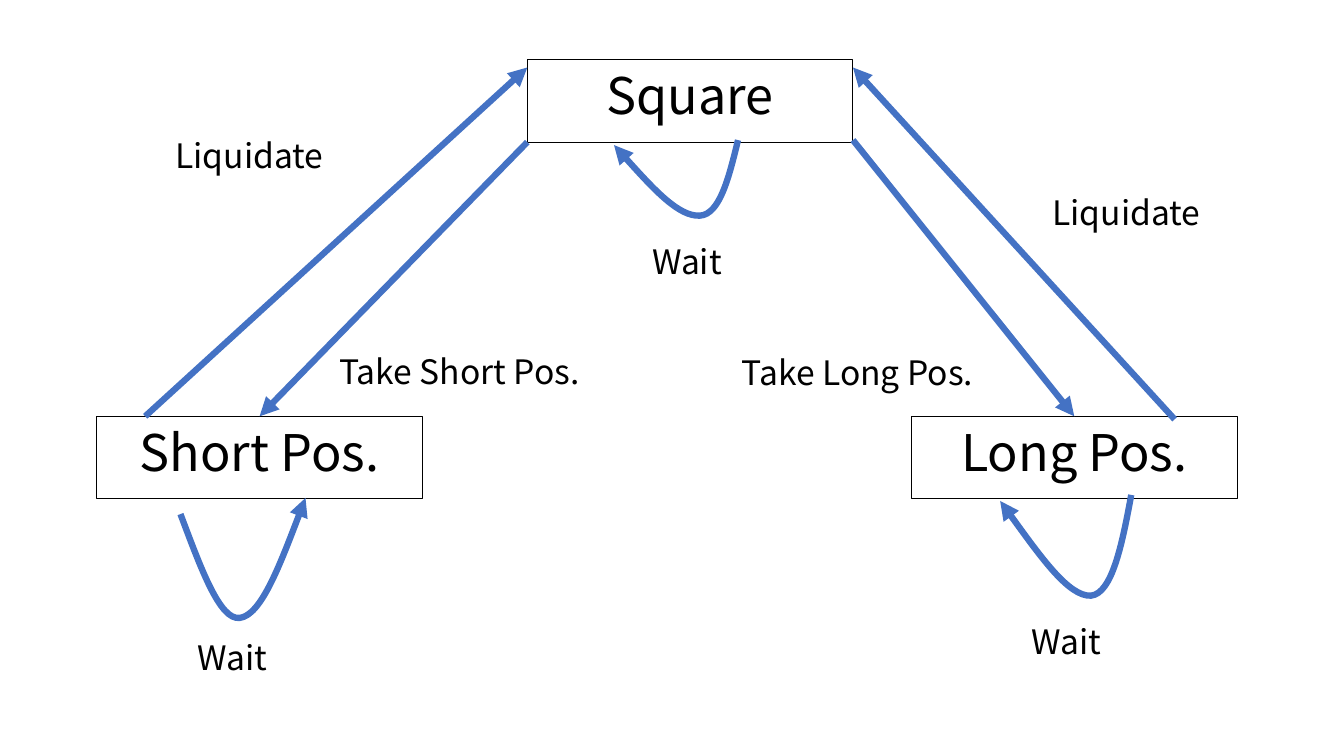
from dataclasses import dataclass
from typing import Optional

from lxml import etree
from pptx import Presentation
from pptx import util as u
from pptx.dml.color import RGBColor
from pptx.enum import shapes, text
from pptx.oxml import ns

COLORS = {"ink": "000000", "arrow": "4472C4"}
FONT = "Noto Sans CJK JP"
STATE_WIDTH, STATE_HEIGHT = 3.23, 0.82
TOP_MIDDLE = 0
Point = tuple[float, float]


@dataclass
class State:
    name: str
    left: float
    top: float


@dataclass
class Label:
    words: str
    left: float
    top: float
    width: float
    height: float = 0.58


@dataclass
class Move:
    start: Point
    end: Point
    target: Optional[str] = None  # state whose top middle the arrow joins


@dataclass
class WaitLoop:
    start: Point
    curves: list[tuple[Point, Point, Point]]  # two controls and an end


STATES = [
    State("Square", 5.23, 0.59),
    State("Long Pos.", 9.04, 4.13),
    State("Short Pos.", 0.96, 4.13),
]
LOOPS = [
    WaitLoop((7.32, 1.39), [((7.23, 1.76), (7.14, 2.13), (6.94, 2.14)),
                            ((6.73, 2.15), (6.41, 1.8), (6.09, 1.44))]),
    WaitLoop((1.79, 5.1), [((1.99, 5.63), (2.18, 6.16), (2.38, 6.13)),
                           ((2.59, 6.1), (2.81, 5.52), (3.03, 4.94))]),
    WaitLoop((11.22, 4.91), [((11.13, 5.4), (11.03, 5.89), (10.82, 5.91)),
                             ((10.6, 5.92), (10.26, 5.44), (9.92, 4.97))]),
]
MOVES = [
    Move((1.44, 4.13), (5.23, 0.67)),
    Move((8.46, 1.39), (10.65, 4.13), "Long Pos."),
    Move((5.23, 1.41), (2.58, 4.13), "Short Pos."),
    Move((11.65, 4.16), (8.46, 0.67)),
]
LABELS = [
    Label("Wait", 6.37, 2.34, 1.36, 0.5),
    Label("Wait", 1.86, 6.27, 1.43, 0.5),
    Label("Wait", 10.13, 6.11, 1.43, 0.5),
    Label("Liquidate", 1.64, 1.29, 1.98),
    Label("Liquidate", 10.34, 1.85, 2.39),
    Label("Take Short Pos.", 3.27, 3.43, 3.1),
    Label("Take Long Pos.", 7.26, 3.44, 3.05),
]


def inches(*lengths: float) -> list[u.Length]:
    return [u.Inches(length) for length in lengths]


def write(box, words: str, size: int, align) -> None:
    frame = box.text_frame
    frame.word_wrap = True
    frame.vertical_anchor = text.MSO_ANCHOR.TOP
    frame.auto_size = text.MSO_AUTO_SIZE.SHAPE_TO_FIT_TEXT
    para = frame.paragraphs[0]
    para.alignment = align
    span = para.add_run()
    span.text = words
    span.font.name = FONT
    span.font.size = u.Pt(size)
    span.font.color.rgb = RGBColor.from_string(COLORS["ink"])


def style_arrow(shape) -> None:
    shape.line.color.rgb = RGBColor.from_string(COLORS["arrow"])
    shape.line.width = u.Pt(4.5)
    outline = shape._element.spPr.find(ns.qn("a:ln"))
    etree.SubElement(outline, ns.qn("a:tailEnd"), type="triangle")


def draw_state(page, state: State):
    box = page.shapes.add_shape(
        shapes.MSO_SHAPE.RECTANGLE,
        *inches(state.left, state.top, STATE_WIDTH, STATE_HEIGHT))
    box.shadow.inherit = False
    box.fill.background()
    box.line.color.rgb = RGBColor.from_string(COLORS["ink"])
    box.line.width = u.Pt(0.75)
    write(box, state.name, 36, text.PP_ALIGN.CENTER)
    return box


def draw_loop(page, loop: WaitLoop) -> None:
    builder = page.shapes.build_freeform(*inches(*loop.start))
    points = [inches(*point) for curve in loop.curves for point in curve]
    builder.add_line_segments(points, close=False)
    shape = builder.convert_to_shape()
    # Each three straight segments become one cubic curve
    segments = list(shape._element.iter(ns.qn("a:lnTo")))
    for first in range(0, len(segments), 3):
        curve = etree.Element(ns.qn("a:cubicBezTo"))
        segments[first].addprevious(curve)
        for segment in segments[first:first + 3]:
            curve.append(segment[0])
            segment.getparent().remove(segment)
    shape.shadow.inherit = False
    shape.fill.background()
    style_arrow(shape)


def draw_move(page, move: Move, boxes: dict) -> None:
    arrow = page.shapes.add_connector(
        shapes.MSO_CONNECTOR.STRAIGHT, *inches(*move.start, *move.end))
    if move.target:
        arrow.end_connect(boxes[move.target], TOP_MIDDLE)
    style_arrow(arrow)
    etree.SubElement(arrow._element.spPr, ns.qn("a:effectLst"))


def draw_label(page, label: Label) -> None:
    box = page.shapes.add_textbox(
        *inches(label.left, label.top, label.width, label.height))
    write(box, label.words, 24, text.PP_ALIGN.LEFT)


def main() -> None:
    deck = Presentation()
    deck.slide_width, deck.slide_height = inches(13.33, 7.5)
    page = deck.slides.add_slide(deck.slide_layouts.get_by_name("Blank"))

    # States, the loops that stay in them, the moves between them
    boxes = {state.name: draw_state(page, state) for state in STATES}
    for loop in LOOPS:
        draw_loop(page, loop)
    for move in MOVES:
        draw_move(page, move, boxes)

    # Names of the actions
    for label in LABELS:
        draw_label(page, label)
    deck.save("out.pptx")


if __name__ == "__main__":
    main()
